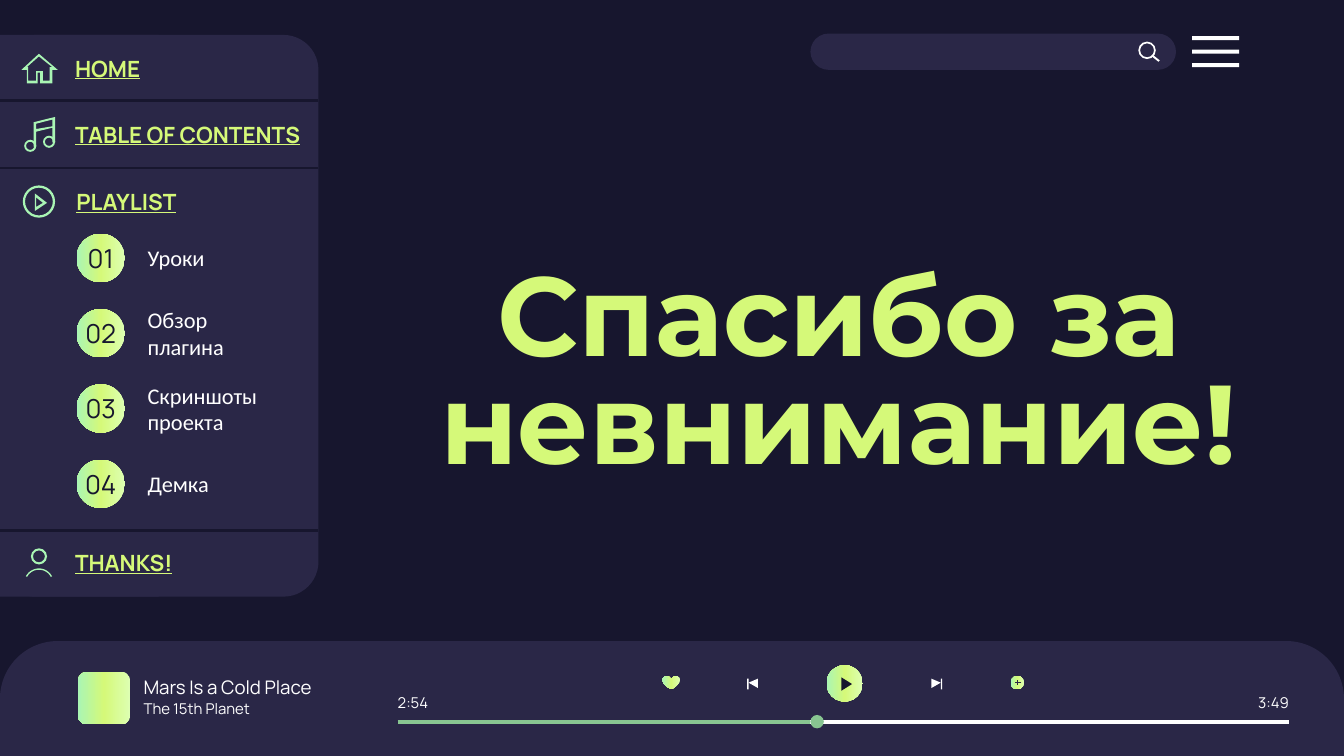
from copy import deepcopy
from dataclasses import dataclass
from math import cos, radians, sin

from pptx import Presentation
from pptx.dml.color import RGBColor
from pptx.enum import shapes, text
from pptx.oxml import ns
from pptx.oxml.xmlchemy import OxmlElement
from pptx.util import Inches, Pt


@dataclass(frozen=True)
class Theme:
    night: str = "17162E"
    panel: str = "2A2747"
    white: str = "FFFFFF"
    lime: str = "D5F979"
    mint: str = "A9F5B4"
    progress: str = "88C591"
    glow: tuple = ("DDFFB2", "D5F979", "A9F5B4")
    sans: str = "Manrope"
    heading: str = "Montserrat"
    body: str = "Calibri"
    title_size: int = 60
    number_size: int = 14
    menu_size: int = 12
    song_size: int = 10
    small_size: int = 8


theme = Theme()
KIND = shapes.MSO_SHAPE
ALIGN = text.PP_ALIGN


def paint(shape, fill):
    """Give a shape a solid colour, or a gradient for a tuple of three."""
    shape.shadow.inherit = False
    shape.line.fill.background()
    if isinstance(fill, str):
        shape.fill.solid()
        shape.fill.fore_color.rgb = RGBColor.from_string(fill)
        return
    shape.fill.gradient()
    shape.fill.gradient_angle = 180
    stops = shape.element.spPr.find(".//" + ns.qn("a:gsLst"))
    stops.insert(1, deepcopy(stops[0]))
    for index, (stop, color) in enumerate(zip(shape.fill.gradient_stops, fill)):
        stop.position = index / 2
        stop.color.rgb = RGBColor.from_string(color)


def write(shape, words, size, color, font=theme.sans, align=ALIGN.LEFT,
          side=0.1, bold=False, underline=False, spacing=None):
    frame = shape.text_frame
    frame.word_wrap = True
    frame.vertical_anchor = text.MSO_ANCHOR.MIDDLE
    frame.margin_left = frame.margin_right = Inches(side)
    frame.margin_top = frame.margin_bottom = Inches(0.1)
    paragraph = frame.paragraphs[0]
    paragraph.alignment = align
    if spacing:
        paragraph.line_spacing = spacing
    run = paragraph.add_run()
    run.text = words
    run.font.size = Pt(size)
    run.font.name = font
    run.font.bold = bold
    run.font.underline = underline
    run.font.color.rgb = RGBColor.from_string(color)


# Widescreen 16:9 slide
prs = Presentation()
prs.slide_width = Inches(10)
prs.slide_height = prs.slide_width * 9 // 16
slide = prs.slides.add_slide(prs.slide_layouts[6])
canvas = slide.shapes
slide.background.fill.solid()
slide.background.fill.fore_color.rgb = RGBColor.from_string(theme.night)

# Panels, search bar, menu bars, cover, round icons: kind, box, fill, adjustment
parts = [
    (KIND.ROUNDED_RECTANGLE, (6.03, 0.25, 2.72, 0.27), theme.panel, 0.5),
    (KIND.DONUT, (8.47, 0.31, 0.13, 0.13), theme.white, 0.1),
    (KIND.ROUND_2_SAME_RECTANGLE, (0, 4.77, 10, 0.86), theme.panel, 0.5),
    (KIND.ROUNDED_RECTANGLE, (0.58, 5, 0.39, 0.39), theme.glow, 0.17),
    (KIND.HEART, (4.93, 5.03, 0.13, 0.1), theme.glow, None),
    (KIND.OVAL, (7.52, 5.03, 0.1, 0.1), theme.glow, None),
    (KIND.OVAL, (6.15, 4.95, 0.27, 0.27), theme.glow, None),
    (KIND.RECTANGLE, (0, 0.26, 1.18, 4.18), theme.panel, None),
    (KIND.ROUNDED_RECTANGLE, (0, 0.26, 2.37, 4.18), theme.panel, 0.11),
    (KIND.DONUT, (0.17, 1.38, 0.24, 0.24), theme.mint, 0.07),
    (KIND.DONUT, (0.18, 1.04, 0.09, 0.09), theme.mint, 0.16),
    (KIND.DONUT, (0.32, 1.01, 0.09, 0.09), theme.mint, 0.16),
    (KIND.DONUT, (0.23, 4.08, 0.12, 0.12), theme.mint, 0.13),
    (KIND.RECTANGLE, (7, 5.05, 0.01, 0.08), theme.white, None),
    (KIND.RECTANGLE, (5.56, 5.05, 0.01, 0.08), theme.white, None),
]
parts += [(KIND.RECTANGLE, (8.87, 0.27 + 0.1 * bar, 0.35, 0.03), theme.white, None)
          for bar in range(3)]
for kind, box, fill, adjustment in parts:
    part = canvas.add_shape(kind, *map(Inches, box))
    paint(part, fill)
    if adjustment is not None:
        part.adjustments[0] = adjustment

# Drawn icons: fill, then contours (a second contour cuts a hole)
shoulders = [(0.29 + radius * cos(radians(angle)), 4.34 + radius * sin(radians(angle)))
             for radius, angles in ((0.11, range(208, 333, 4)), (0.1, range(332, 207, -4)))
             for angle in angles]
house = [(0.29, 0.4), (0.16, 0.52), (0.2, 0.52), (0.2, 0.62), (0.28, 0.62), (0.28, 0.54),
         (0.3, 0.54), (0.3, 0.62), (0.39, 0.62), (0.39, 0.52), (0.43, 0.52)]
house_inside = [(0.29, 0.42), (0.39, 0.5), (0.37, 0.5), (0.37, 0.6), (0.32, 0.6), (0.32, 0.53),
                (0.27, 0.53), (0.27, 0.6), (0.21, 0.6), (0.21, 0.5), (0.2, 0.5)]
note_stem = [(0.41, 0.87), (0.25, 0.91), (0.25, 1.09), (0.27, 1.09), (0.27, 0.98),
             (0.39, 0.95), (0.39, 1.06), (0.41, 1.06)]
note_beam = [(0.39, 0.89), (0.39, 0.94), (0.27, 0.96), (0.27, 0.92)]
icons = [
    (theme.mint, [house, house_inside]),
    (theme.mint, [note_stem, note_beam]),
    (theme.mint, [[(0.26, 1.44), (0.26, 1.57), (0.35, 1.51)],
                  [(0.27, 1.47), (0.32, 1.51), (0.27, 1.54)]]),
    (theme.mint, [shoulders]),
    (theme.white, [[(8.58, 0.41), (8.57, 0.42), (8.62, 0.46), (8.63, 0.45)]]),
    (theme.night, [[(6.26, 5.04), (6.26, 5.14), (6.34, 5.09)]]),
    (theme.white, [[(6.93, 5.05), (6.93, 5.12), (7, 5.08)]]),
    (theme.white, [[(5.64, 5.05), (5.57, 5.08), (5.64, 5.12)]]),
]
for fill, contours in icons:
    outline = None
    for contour in contours:
        start, *rest = [(Inches(x), Inches(y)) for x, y in contour]
        if outline is None:
            outline = canvas.build_freeform(*start)
        else:
            outline.move_to(*start)
        outline.add_line_segments(rest, close=True)
    paint(outline.convert_to_shape(), fill)

# Sidebar dividers, plus sign and progress track
lines = [(2.37, y, 0, y, theme.night, 1.5) for y in (0.75, 1.25, 3.95)]
lines += [
    (7.57, 5.06, 7.57, 5.1, theme.panel, 0.75),
    (7.6, 5.08, 7.55, 5.08, theme.panel, 0.75),
    (2.96, 5.37, 9.59, 5.37, theme.white, 2.25),
    (2.96, 5.37, 6.03, 5.37, theme.progress, 2.25),
]
for *ends, color, width in lines:
    stroke = canvas.add_connector(shapes.MSO_CONNECTOR.STRAIGHT, *map(Inches, ends))
    stroke.line.color.rgb = RGBColor.from_string(color)
    stroke.line.width = Pt(width)
    stroke.element.spPr.append(OxmlElement("a:effectLst"))
knob = canvas.add_shape(KIND.OVAL, *map(Inches, (6.03, 5.32, 0.1, 0.1)))
paint(knob, theme.progress)

# Title
title = canvas.add_textbox(*map(Inches, (2.92, 1.43, 6.64, 2.77)))
write(title, "Спасибо за невнимание!", theme.title_size, theme.lime, theme.heading,
      ALIGN.CENTER, bold=True, spacing=0.8)

# Sidebar menu
for label, left, top, width in [("HOME", 0.46, 0.33, 2.08),
                                ("TABLE OF CONTENTS", 0.46, 0.82, 2.08),
                                ("PLAYLIST", 0.47, 1.32, 1.3),
                                ("THANKS!", 0.46, 4.01, 2.08)]:
    entry = canvas.add_textbox(*map(Inches, (left, top, width, 0.36)))
    write(entry, label, theme.menu_size, theme.lime, bold=True, underline=True)

# Playlist chapters
chapters = [("Уроки", 1.37), ("Обзор плагина", 1.21), ("Скриншоты проекта", 1.37), ("Демка", 1.21)]
for row, (name, width) in enumerate(chapters):
    top = 1.74 + 0.56 * row
    number = canvas.add_shape(KIND.OVAL, *map(Inches, (0.57, top, 0.36, 0.36)))
    paint(number, theme.glow)
    write(number, f"{row + 1:02}", theme.number_size, theme.night, align=ALIGN.CENTER, side=0)
    chapter = canvas.add_textbox(*map(Inches, (1, top - 0.08, width, 0.52)))
    write(chapter, name, theme.menu_size, theme.white, theme.body)

# Player captions
for words, left, top, width, size, align, side in [
        ("Mars Is a Cold Place", 0.97, 5.03, 1.91, theme.song_size, ALIGN.LEFT, 0.1),
        ("The 15th Planet", 0.97, 5.19, 1.15, theme.small_size, ALIGN.LEFT, 0.1),
        ("2:54", 2.96, 5.14, 0.27, theme.small_size, ALIGN.LEFT, 0),
        ("3:49", 9.32, 5.14, 0.27, theme.small_size, ALIGN.RIGHT, 0)]:
    caption = canvas.add_textbox(*map(Inches, (left, top, width, 0.17)))
    write(caption, words, size, theme.white, align=align, side=side)

prs.save("out.pptx")
